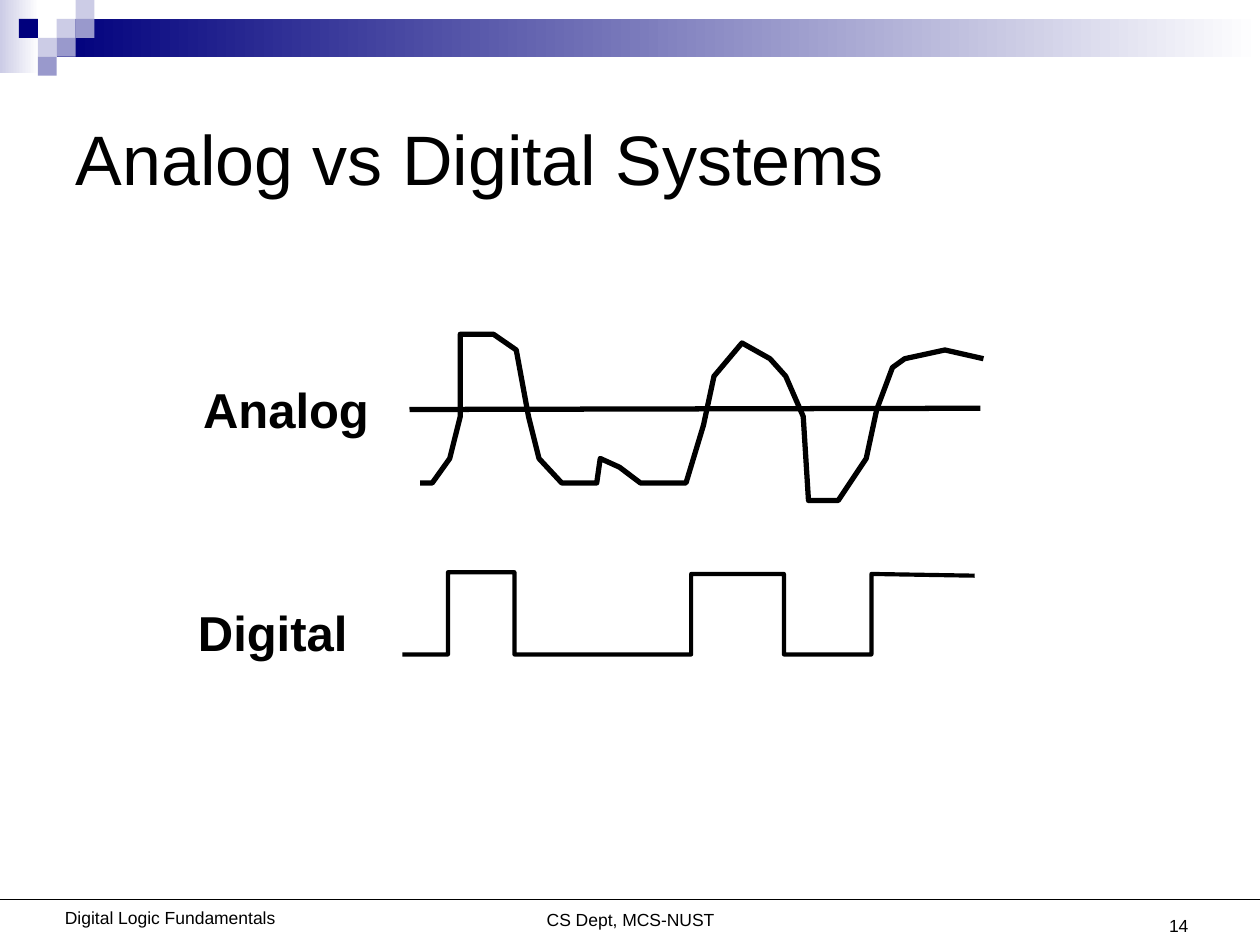
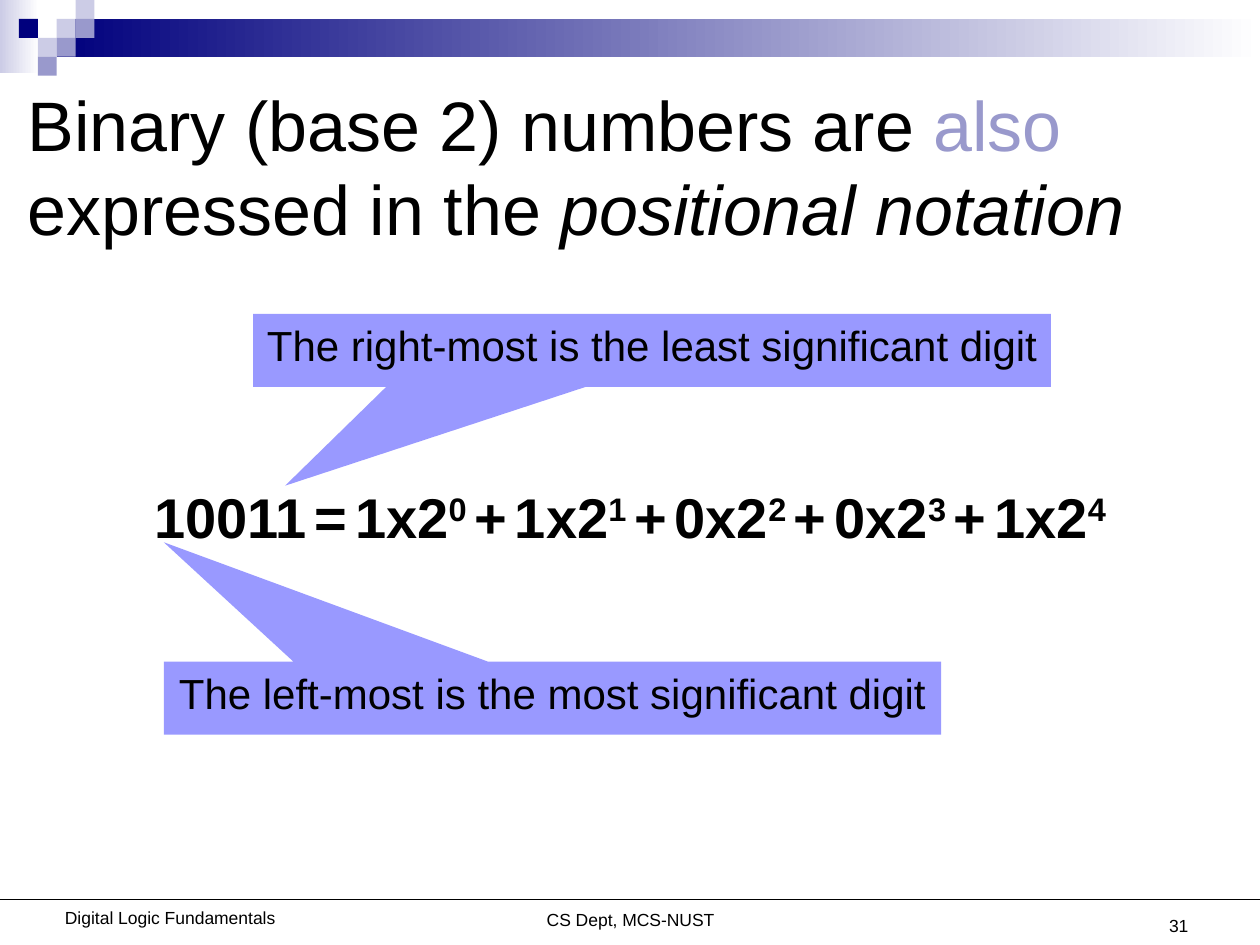
from pptx import Presentation
from pptx import util as u
from pptx.dml import color as dml
from pptx.enum import shapes, text
from pptx.oxml import ns
from lxml import etree

Pt = u.Pt
COLORS = {
    "ink": "000000",
    "paper": "FFFFFF",
    "navy": "00007D",
    "lilac": "CCCCE6",
    "violet": "9999CC",
    "callout": "9999FF",
}
PALETTE = {name: dml.RGBColor.from_string(value) for name, value in COLORS.items()}
LEFT, CENTER, RIGHT = text.PP_ALIGN.LEFT, text.PP_ALIGN.CENTER, text.PP_ALIGN.RIGHT
TOP, MIDDLE, BOTTOM = (text.MSO_ANCHOR.TOP, text.MSO_ANCHOR.MIDDLE,
                       text.MSO_ANCHOR.BOTTOM)


def write(frame, runs, size, align=LEFT, anchor=TOP, wrap=True, margins=(7.2, 3.6)):
    side, edge = (Pt(margin) for margin in margins)
    frame_format = {
        "auto_size": text.MSO_AUTO_SIZE.NONE,
        "word_wrap": wrap,
        "vertical_anchor": anchor,
        "margin_left": side,
        "margin_right": side,
        "margin_top": edge,
        "margin_bottom": edge,
    }
    for key, value in frame_format.items():
        setattr(frame, key, value)
    paragraph = frame.paragraphs[0]
    paragraph.alignment = align
    for words, changes in runs:
        run = paragraph.add_run()
        run.text = words
        run_format = {"name": "Arial", "size": Pt(size), **changes}
        ink = run_format.pop("ink", "ink")
        raised = run_format.pop("raised", False)
        for key, value in run_format.items():
            setattr(run.font, key, value)
        run.font.color.rgb = PALETTE[ink]
        if raised:
            run._r.get_or_add_rPr().set("baseline", "30000")


def draw(slide, kind, box, fill):
    shape = slide.shapes.add_shape(kind, *map(Pt, box))
    shape.shadow.inherit = False
    shape.line.fill.background()
    if isinstance(fill, tuple):
        shape.fill.gradient()
        shape.fill.gradient_angle = 0
        for stop, name, position in zip(shape.fill.gradient_stops, fill, (0, 1)):
            stop.color.rgb = PALETTE[name]
            stop.position = position
    else:
        shape.fill.solid()
        shape.fill.fore_color.rgb = PALETTE[fill]
    return shape


prs = Presentation()
prs.slide_width, prs.slide_height = Pt(720), Pt(540)

TILE = 10.8
TILES = [(3, 1, "lilac"), (4, 0, "lilac"), (4, 1, "violet"), (2, 2, "lilac"),
         (1, 1, "navy"), (3, 2, "violet"), (2, 3, "violet")]
RECT = shapes.MSO_SHAPE.RECTANGLE

headings = [
    ("14", (36, 36, 648, 108), [("Analog vs Digital Systems", {})]),
    ("31", (8.64, 49.68, 720, 90), [
        ("Binary (base 2) numbers are ", {}),
        ("also", {"ink": "violet"}),
        (" expressed in the ", {}),
        ("positional notation", {"italic": True}),
    ]),
]

slides = []
for number, title_box, title_runs in headings:
    slide = prs.slides.add_slide(prs.slide_layouts[5])
    slide.background.fill.solid()
    slide.background.fill.fore_color.rgb = PALETTE["paper"]
    slides.append(slide)

    draw(slide, RECT, (0, 0, 22.3, 41.8), ("lilac", "paper"))
    draw(slide, RECT, (32.4, TILE, 687.6, 2 * TILE), ("navy", "paper"))
    for column, row, shade in TILES:
        draw(slide, RECT, (column * TILE, row * TILE, TILE, TILE), shade)

    title = slide.shapes.title
    title.left, title.top, title.width, title.height = map(Pt, title_box)
    write(title.text_frame, title_runs, 40, anchor=MIDDLE)

    footers = [
        ("CS Dept, MCS-NUST", (210.2, 516.2, 300.2, 20), CENTER, TOP),
        ("Digital Logic Fundamentals", (25.2, 514.8, 144, 20), CENTER, TOP),
        (number, (518.4, 502.6, 167.8, 36), RIGHT, BOTTOM),
    ]
    for words, box, align, anchor in footers:
        footer = slide.shapes.add_textbox(*map(Pt, box))
        write(footer.text_frame, [(words, {})], 10, align, anchor)

signals, binary = slides

axis_lines = [(slide, (0, 514.1, 720, 514.1), 0.75) for slide in slides]
axis_lines.append((signals, (234, 234, 560.2, 233.3), 3))
for slide, ends, width in axis_lines:
    rule = slide.shapes.add_connector(shapes.MSO_CONNECTOR.STRAIGHT, *map(Pt, ends))
    rule.line.color.rgb = PALETTE["ink"]
    rule.line.width = Pt(width)
    etree.SubElement(rule._element.spPr, ns.qn("a:effectLst"))

analog_wave = [
    (240.5, 276.5), (247, 276.5), (257, 262), (262.8, 238.3), (262.8, 190.8),
    (282.2, 190.8), (295.2, 200.2), (301.7, 238.3), (308.2, 262), (321.1, 276.5),
    (340.6, 276.5), (343.4, 262), (353.5, 267.1), (365.8, 276.5), (391.7, 276.5),
    (401.8, 243.4), (407.5, 214.6), (424.1, 195.8), (439.9, 205.2), (449.3, 214.6),
    (459.4, 238.3), (462.2, 285.8), (478.8, 285.8), (494.6, 262), (501.1, 234),
    (510.5, 209.5), (517, 205.2), (540, 200.2), (562.3, 205.2),
]
LOW = 374.4
digital_wave = [(229.7, LOW)]
for rise, fall, high in [(256.3, 294.5, 326.9), (394.6, 447.8, 328.3)]:
    digital_wave += [(rise, LOW), (rise, high), (fall, high), (fall, LOW)]
digital_wave += [(497.5, LOW), (497.5, 328.3), (557.3, 329)]

for points, width in [(analog_wave, 3), (digital_wave, 2.38)]:
    builder = signals.shapes.build_freeform(*points[0], scale=Pt(1))
    builder.add_line_segments(points[1:], close=False)
    wave = builder.convert_to_shape()
    wave.shadow.inherit = False
    wave.fill.background()
    wave.line.color.rgb = PALETTE["ink"]
    wave.line.width = Pt(width)

for words, box in [("Analog", (114.5, 216.7, 97.9, 33.8)),
                   ("Digital", (109.4, 344.2, 92.9, 33.8))]:
    label = signals.shapes.add_textbox(*map(Pt, box))
    write(label.text_frame, [(words, {"bold": True})], 28, CENTER,
          wrap=False, margins=(0, 0))

bold = {"bold": True}
gap = (" ", {"bold": True, "size": Pt(16)})
expansion = [("10011", bold)]
for power, digit in enumerate("11001"):
    expansion += [gap, ("+" if power else "=", bold), gap, (f"{digit}x2", bold),
                  (str(power), {"bold": True, "raised": True})]
equation = binary.shapes.add_textbox(*map(Pt, (0, 272, 720, 46)))
write(equation.text_frame, expansion, 32, CENTER)

callouts = [
    ("The right-most is the least significant digit",
     (144.7, 179.3, 455.8, 41.8), (-0.46, 1.85)),
    ("The left-most is the most significant digit",
     (93.6, 378, 444.2, 41.8), (-0.5, -2.13)),
]
for words, box, tip in callouts:
    callout = draw(binary, shapes.MSO_SHAPE.RECTANGULAR_CALLOUT, box, "callout")
    for index, offset in enumerate(tip):
        callout.adjustments[index] = offset
    write(callout.text_frame, [(words, {})], 24, CENTER)

prs.save("out.pptx")
